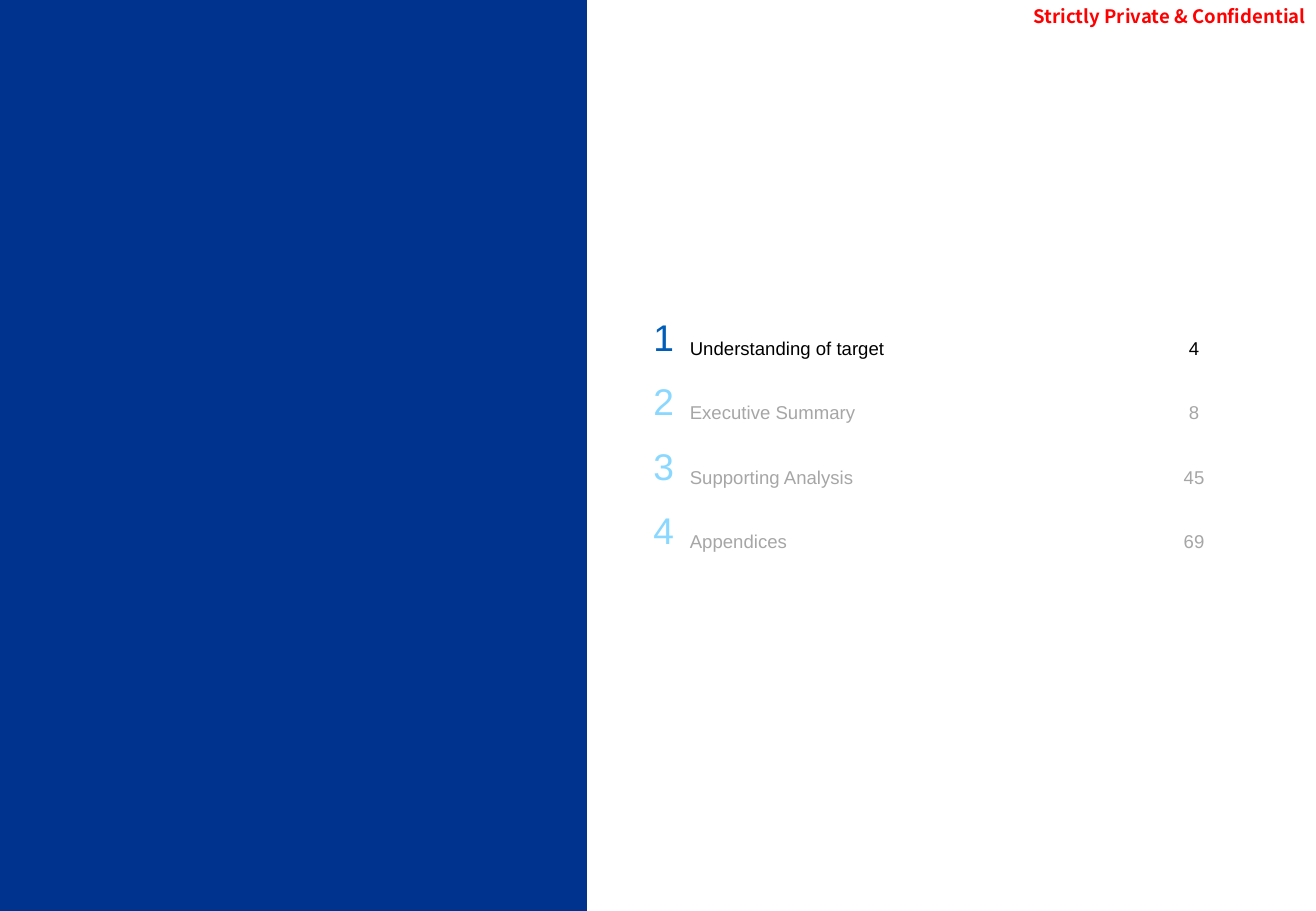
"""Build the contents slide with its blue side panel and four-section agenda."""
from dataclasses import dataclass

from pptx import Presentation
from pptx.dml.color import RGBColor
from pptx.enum.shapes import MSO_SHAPE
from pptx.enum.text import MSO_ANCHOR as Anchor, MSO_AUTO_SIZE as AutoSize, PP_ALIGN as Align
from pptx.slide import Slide
from pptx.table import _Cell as Cell
from pptx.text.text import _Paragraph as Paragraph
from pptx.util import Cm, Pt

COLORS = {
    "panel": "00338D",
    "notice": "FF0000",
    "active_number": "005EB8",
    "active_text": "000000",
    "muted_number": "8AD8FF",
    "muted_text": "A6A6A6",
}
SLIDE_WIDTH, SLIDE_HEIGHT = 27.51, 19.05
ROW_HEIGHT = 1.35


@dataclass(frozen=True)
class Section:
    title: str
    page: int
    state: str = "muted"


@dataclass(frozen=True)
class Column:
    width: float
    size: int
    align: Align
    margins: tuple[float, float, float, float]
    role: str


SECTIONS = [
    Section("Understanding of target", 4, "active"),
    Section("Executive Summary", 8),
    Section("Supporting Analysis", 45),
    Section("Appendices", 69),
]
COLUMNS = [
    Column(1.32, 22, Align.RIGHT, (0.23, 0.13, 0.23, 0.13), "number"),
    Column(10.13, 11, Align.LEFT, (0.1, 0.56, 0, 0.13), "text"),
    Column(1.02, 11, Align.CENTER, (0.23, 0.56, 0.23, 0.13), "text"),
]


def write(paragraph: Paragraph, text: str, size: int, color: str, align: Align,
          font_name: str = "Arial", bold: bool = False) -> None:
    paragraph.text = text
    paragraph.alignment = align
    font = paragraph.font
    font.name, font.size, font.bold = font_name, Pt(size), bold
    font.color.rgb = RGBColor.from_string(COLORS[color])


def add_panel(slide: Slide) -> None:
    panel = slide.shapes.add_shape(MSO_SHAPE.RECTANGLE, 0, 0, Cm(12.27), Cm(SLIDE_HEIGHT))
    panel.shadow.inherit = False
    panel.fill.solid()
    panel.fill.fore_color.rgb = RGBColor.from_string(COLORS["panel"])
    panel.line.fill.background()


def add_notice(slide: Slide) -> None:
    notice = slide.shapes.add_textbox(Cm(20.52), Cm(-0.03), Cm(6.88), Cm(0.69))
    frame = notice.text_frame
    frame.word_wrap = True
    frame.auto_size = AutoSize.SHAPE_TO_FIT_TEXT
    frame.vertical_anchor = Anchor.BOTTOM
    frame.margin_left = 0
    frame.margin_top = frame.margin_right = frame.margin_bottom = Cm(0.1)
    write(frame.paragraphs[0], "Strictly Private & Confidential", 11, "notice",
          Align.RIGHT, "Noto Sans CJK KR", True)


def fill_cell(cell: Cell, text: str, column: Column, state: str) -> None:
    cell.fill.background()
    cell.vertical_anchor = Anchor.MIDDLE
    cell.margin_left, cell.margin_top, cell.margin_right, cell.margin_bottom = map(
        Cm, column.margins)
    write(cell.text_frame.paragraphs[0], text, column.size,
          f"{state}_{column.role}", column.align)


def add_agenda(slide: Slide) -> None:
    width = sum(column.width for column in COLUMNS)
    table = slide.shapes.add_table(len(SECTIONS), len(COLUMNS), Cm(13), Cm(6.4),
                                   Cm(width), Cm(ROW_HEIGHT * len(SECTIONS))).table
    table.first_row = table.horz_banding = False
    for table_column, column in zip(table.columns, COLUMNS):
        table_column.width = Cm(column.width)
    for index, section in enumerate(SECTIONS):
        table.rows[index].height = Cm(ROW_HEIGHT)
        texts = (str(index + 1), section.title, str(section.page))
        for cell, text, column in zip(table.rows[index].cells, texts, COLUMNS):
            fill_cell(cell, text, column, section.state)


def main() -> None:
    presentation = Presentation()
    presentation.slide_width, presentation.slide_height = Cm(SLIDE_WIDTH), Cm(SLIDE_HEIGHT)
    slide = presentation.slides.add_slide(presentation.slide_layouts[6])
    add_panel(slide)
    add_notice(slide)
    add_agenda(slide)
    presentation.save("out.pptx")


if __name__ == "__main__":
    main()
